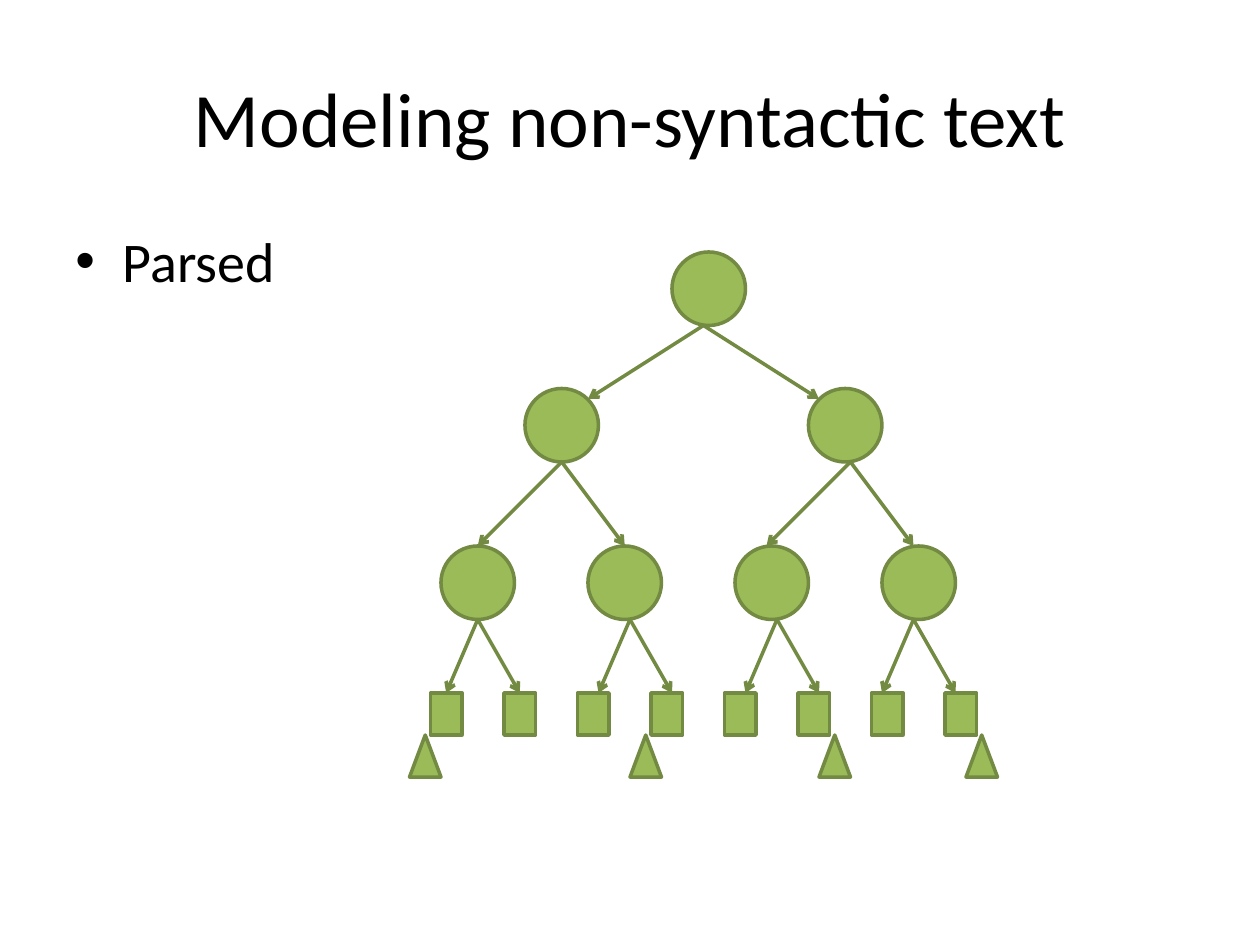
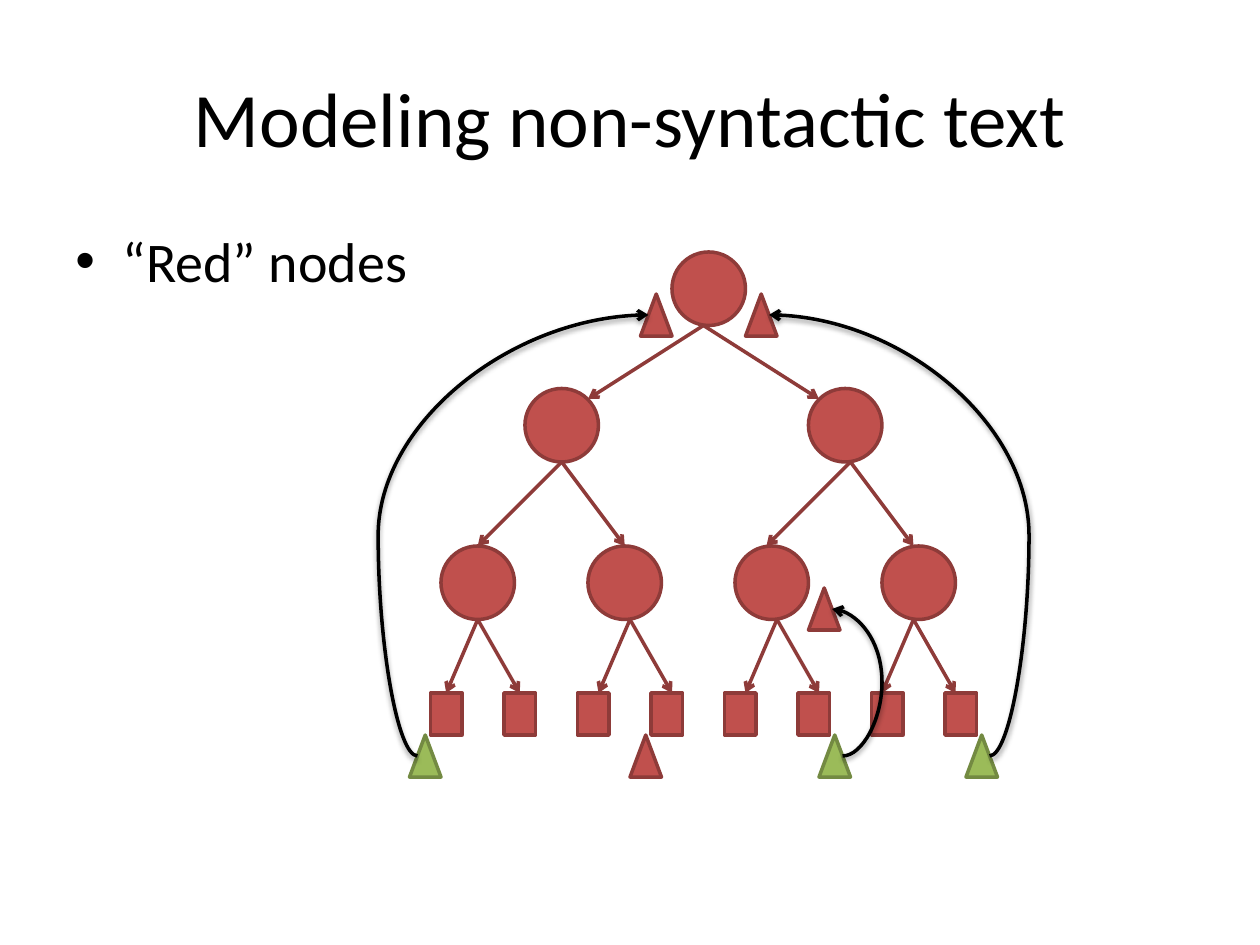
from dataclasses import dataclass
from lxml.etree import SubElement
from pptx import Presentation
from pptx.dml.color import RGBColor
from pptx.enum.shapes import MSO_CONNECTOR, MSO_SHAPE
from pptx.enum.text import MSO_ANCHOR, PP_ALIGN
from pptx.oxml import parse_xml
from pptx.oxml.ns import nsdecls, qn
from pptx.shapes.autoshape import Shape
from pptx.shapes.connector import Connector
from pptx.slide import Slide
from pptx.util import Pt

BLACK = RGBColor(0x00, 0x00, 0x00)
GREEN = RGBColor(0x9B, 0xBB, 0x59)
MOSS = RGBColor(0x73, 0x8A, 0x42)
RED = RGBColor(0xC0, 0x50, 0x4D)
WINE = RGBColor(0x8E, 0x3B, 0x39)

TITLE = "Modeling non-syntactic text"
STROKE = Pt(2)
DISC = 42
LEAF_TOP = 396
MARK_TOP = 420
SHADOW = (
    f"<a:effectLst {nsdecls('a')}>"
    '<a:outerShdw blurRad="40000" dist="20000" dir="5400000" rotWithShape="0">'
    '<a:srgbClr val="000000"><a:alpha val="38000"/></a:srgbClr>'
    "</a:outerShdw></a:effectLst>"
)
FLAT = f"<a:effectLst {nsdecls('a')}/>"
BULLET = (
    f"<a:spcBef {nsdecls('a')}><a:spcPct val=\"20000\"/></a:spcBef>",
    f"<a:buFont {nsdecls('a')} typeface=\"Arial\"/>",
    f"<a:buChar {nsdecls('a')} char=\"•\"/>",
)


@dataclass(frozen=True)
class Paint:
    fill: RGBColor
    line: RGBColor


@dataclass(frozen=True)
class Fork:
    x: float
    top: float
    left: float
    right: float
    end: float


@dataclass(frozen=True)
class Mark:
    x: float
    top: float
    paint: Paint


@dataclass(frozen=True)
class Loop:
    x: float
    y: float
    end_x: float
    end_y: float
    bend: float


@dataclass(frozen=True)
class Scene:
    text: str
    paint: Paint
    marks: tuple[Mark, ...]
    loops: tuple[Loop, ...] = ()


LEAVES = [246 + 42 * i for i in range(8)]
DISCS = [(384, 144), (300, 222), (462, 222)]
DISCS += [(252 + 84 * i, 312) for i in range(4)]
FORKS = [Fork(x, 354, 18, 24, LEAF_TOP) for x in (273, 360, 444, 522)]
FORKS += [Fork(x, 264, 48, 36, 312) for x in (321, 486)]
FORKS += [Fork(402, 186, 66, 66, 228)]

GRASS = Paint(GREEN, MOSS)
BRICK = Paint(RED, WINE)
BASE = (234, 360, 468, 552)
SCENES = (
    Scene("Parsed", GRASS, tuple(Mark(x, MARK_TOP, GRASS) for x in BASE)),
    Scene(
        "“Red” nodes",
        BRICK,
        tuple(Mark(x, MARK_TOP, BRICK if x == 360 else GRASS) for x in BASE)
        + tuple(Mark(x, y, BRICK) for x, y in ((366, 168), (426, 168), (462, 336))),
        (
            Loop(238.5, 432, 370.5, 180, 216),
            Loop(565.5, 432, 439.5, 180, 588),
            Loop(481.5, 432, 475.5, 348, 504),
        ),
    ),
)


def add_text(slide: Slide, text: str, top: float, high: float, size: float,
             frame: dict, para: dict) -> Shape:
    box = slide.shapes.add_textbox(Pt(36), Pt(top), Pt(648), Pt(high))
    body = box.text_frame
    line = body.paragraphs[0]
    run = line.add_run()
    run.text = text
    run.font.color.rgb = BLACK
    style = {"name": "Calibri", "size": Pt(size)}
    for item, form in ((body, {"word_wrap": True, **frame}), (line, para), (run.font, style)):
        for name, value in form.items():
            setattr(item, name, value)
    return box


def add_point(slide: Slide, text: str) -> None:
    box = add_text(slide, text, 126, 356.4, 32, {"vertical_anchor": MSO_ANCHOR.TOP}, {})
    props = box.text_frame.paragraphs[0]._p.get_or_add_pPr()
    props.set("marL", str(Pt(27)))
    props.set("indent", str(-Pt(27)))
    for part in BULLET:
        props.append(parse_xml(part))


def add_node(slide: Slide, kind: MSO_SHAPE, x: float, y: float,
             wide: float, high: float, paint: Paint) -> Shape:
    node = slide.shapes.add_shape(kind, Pt(x), Pt(y), Pt(wide), Pt(high))
    node.shadow.inherit = False
    node.fill.solid()
    node.fill.fore_color.rgb = paint.fill
    node.line.color.rgb = paint.line
    node.line.width = STROKE
    return node


def add_arrow(slide: Slide, kind: MSO_CONNECTOR, x: float, y: float,
              end_x: float, end_y: float, color: RGBColor, effect: str) -> Connector:
    arrow = slide.shapes.add_connector(kind, Pt(x), Pt(y), Pt(end_x), Pt(end_y))
    arrow.line.color.rgb = color
    arrow.line.width = STROKE
    props = arrow._element.spPr
    SubElement(props.get_or_add_ln(), qn("a:tailEnd"), type="arrow")
    props.append(parse_xml(effect))
    return arrow


def add_loop(slide: Slide, loop: Loop) -> None:
    arrow = add_arrow(slide, MSO_CONNECTOR.CURVE, loop.x, loop.y,
                      loop.end_x, loop.end_y, BLACK, SHADOW)
    ratio = (loop.bend - loop.x) / (loop.end_x - loop.x)
    shape = arrow._element.spPr.find(qn("a:prstGeom"))
    guides = shape.find(qn("a:avLst"))
    SubElement(guides, qn("a:gd"), name="adj1", fmla=f"val {round(ratio * 100000)}")


def add_tree(slide: Slide, paint: Paint) -> None:
    for x, y in DISCS:
        add_node(slide, MSO_SHAPE.OVAL, x, y, DISC, DISC, paint)
    leaves = {}
    for x in LEAVES:
        leaf = add_node(slide, MSO_SHAPE.RECTANGLE, x, LEAF_TOP, 18, 24, paint)
        leaves[x + 9, LEAF_TOP] = leaf
    for fork in FORKS:
        for end in (fork.x - fork.left, fork.x + fork.right):
            arrow = add_arrow(slide, MSO_CONNECTOR.STRAIGHT, fork.x, fork.top,
                              end, fork.end, paint.line, FLAT)
            if (end, fork.end) in leaves:
                arrow.end_connect(leaves[end, fork.end], 0)


def main() -> None:
    deck = Presentation()
    deck.slide_width, deck.slide_height = Pt(720), Pt(540)
    for scene in SCENES:
        slide = deck.slides.add_slide(deck.slide_layouts[6])
        add_text(slide, TITLE, 21.6, 90, 44, {"vertical_anchor": MSO_ANCHOR.MIDDLE},
                 {"alignment": PP_ALIGN.CENTER})
        add_tree(slide, scene.paint)
        for mark in scene.marks:
            add_node(slide, MSO_SHAPE.ISOSCELES_TRIANGLE, mark.x, mark.top, 18, 24, mark.paint)
        for loop in scene.loops:
            add_loop(slide, loop)
        add_point(slide, scene.text)
    deck.save("out.pptx")


if __name__ == "__main__":
    main()
